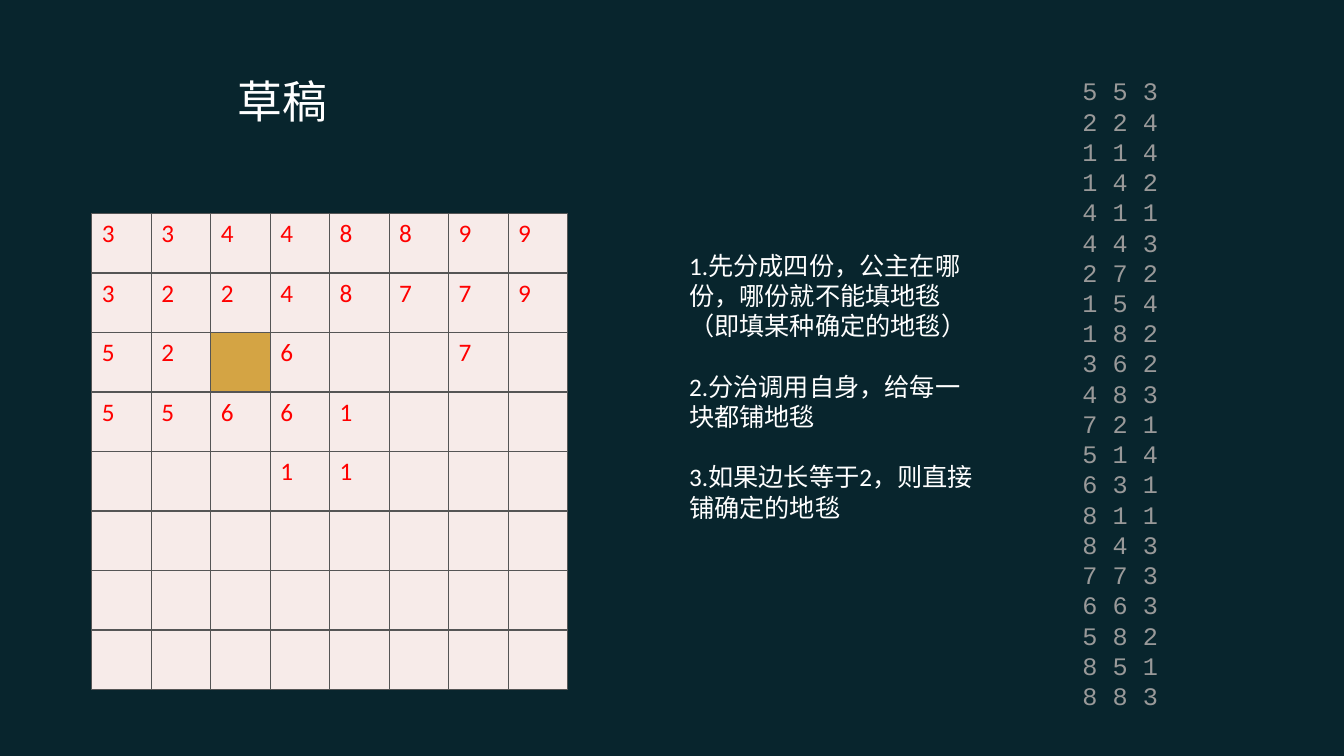
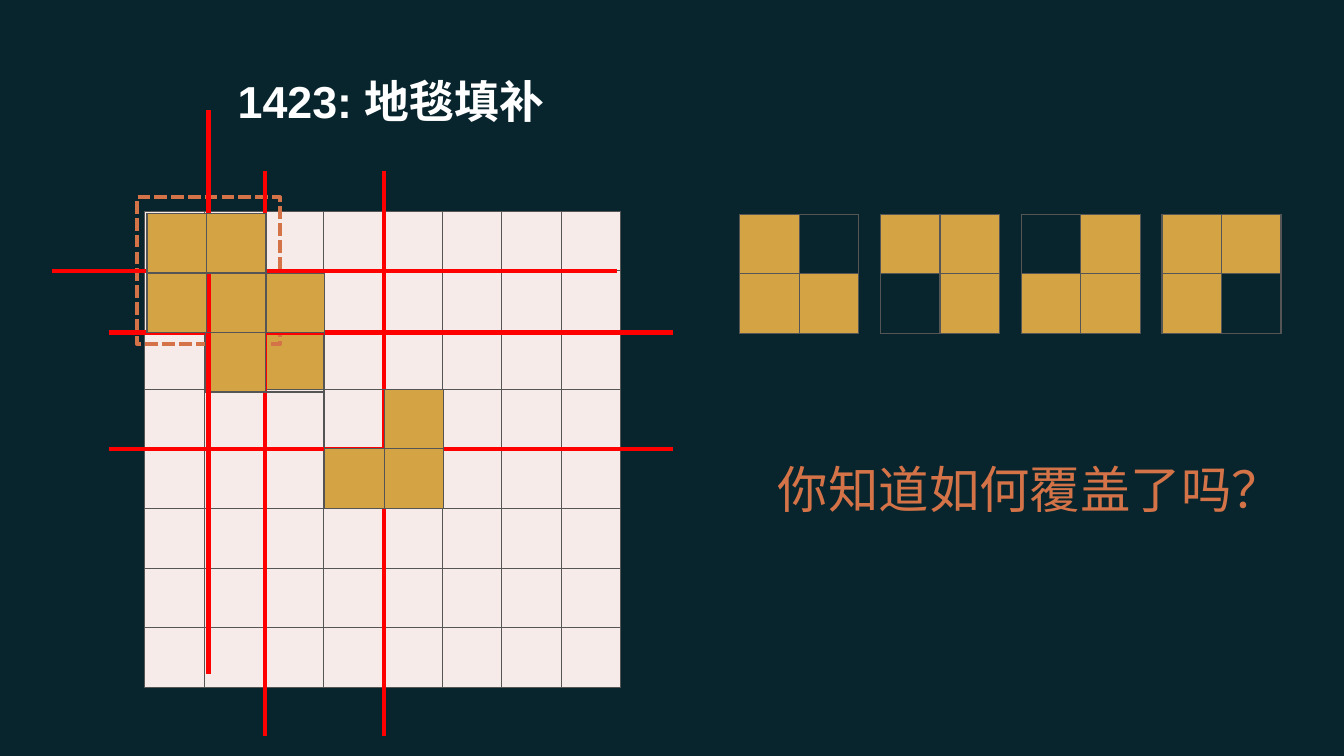
from dataclasses import dataclass

import lxml.etree
import pptx
import pptx.dml.color
import pptx.enum.dml
import pptx.enum.shapes
import pptx.enum.text
import pptx.oxml.ns
import pptx.presentation
import pptx.shapes.base
import pptx.slide
import pptx.text.text
import pptx.util

Pt = pptx.util.Pt
qn = pptx.oxml.ns.qn

NIGHT = "08252D"
WHITE = "FFFFFF"
CREAM = "F7EBE9"
GOLD = "D4A444"
ORANGE = "D47348"
RED = "FF0000"
GREY = "999999"
GRID_GREY = "555555"

CHINESE_FONT = "Noto Sans CJK SC"
TITLE_LAYOUT_WITH_BODY = 1
TITLE_LAYOUT_ONLY = 5

CELL = 42.5
BOARD_SIDE = 8
CUT_LENGTH = 403
LINE_PITCH = 1.2

PRINCESS = "#"
FILLS = {PRINCESS: GOLD, " ": None}

DRAFT_BOARD = [
    "33448899",
    "32248779",
    "52#6..7.",
    "55661...",
    "...11...",
    "........",
    "........",
    "........",
]
PLAIN_BOARD = ["." * BOARD_SIDE] * 2 + ["..#....."] + ["." * BOARD_SIDE] * 5
CARPETS = [["# ", "##"], ["##", " #"], [" #", "##"], ["##", "# "]]

STEPS = [
    "1.先分成四份，公主在哪份，哪份就不能填地毯",
    "（即填某种确定的地毯）",
    "2.分治调用自身，给每一块都铺地毯",
    "3.如果边长等于2，则直接铺确定的地毯",
]
PLACEMENTS = [
    "5 5 3", "2 2 4", "1 1 4", "1 4 2", "4 1 1", "4 4 3", "2 7 2",
    "1 5 4", "1 8 2", "3 6 2", "4 8 3", "7 2 1", "5 1 4", "6 3 1",
    "8 1 1", "8 4 3", "7 7 3", "6 6 3", "5 8 2", "8 5 1", "8 8 3",
]


@dataclass
class TextStyle:
    size: float
    font: str
    color: str
    bold: bool = False


@dataclass
class Division:
    """One step of the recursion: a red cross and the carpet laid at its centre."""
    cross_x: float
    cross_y: float
    start_x: float
    start_y: float
    carpet_left: float
    carpet_top: float
    carpet: list[str]


DIVISIONS = [
    Division(274.5, 320.5, 78, 122.5, 232, 278, CARPETS[2]),
    Division(189.5, 237.5, 78, 122.5, 147, 195, CARPETS[3]),
    Division(149, 193.5, 37.5, 78.5, 105, 152.5, CARPETS[3]),
]

NUMBER_STYLE = TextStyle(18, "Calibri", RED)
STEP_STYLE = TextStyle(18, "Calibri", WHITE)
CODE_STYLE = TextStyle(18, "Courier New", GREY)
QUESTION_STYLE = TextStyle(36, CHINESE_FONT, ORANGE)


def rgb(color: str) -> pptx.dml.color.RGBColor:
    return pptx.dml.color.RGBColor.from_string(color)


def place(shape: pptx.shapes.base.BaseShape, left: float, top: float,
          width: float, height: float) -> None:
    shape.left, shape.top = Pt(left), Pt(top)
    shape.width, shape.height = Pt(width), Pt(height)


def format_runs(para: pptx.text.text._Paragraph, style: TextStyle) -> None:
    for span in para.runs:
        span.font.size = Pt(style.size)
        span.font.bold = style.bold
        span.font.name = style.font
        span.font.color.rgb = rgb(style.color)
        east_asian = lxml.etree.SubElement(span.font._element, qn("a:ea"))
        east_asian.set("typeface", CHINESE_FONT)


def fill_lines(frame: pptx.text.text.TextFrame, lines: list[str],
               style: TextStyle) -> None:
    """Write one unbulleted paragraph per line at an even pitch."""
    frame.text = "\n".join(lines)
    for para in frame.paragraphs:
        properties = para._p.get_or_add_pPr()
        properties.set("marL", "0")
        properties.set("indent", "0")
        lxml.etree.SubElement(properties, qn("a:buNone"))
        para.line_spacing = Pt(style.size * LINE_PITCH)
        para.space_before = Pt(0)
        format_runs(para, style)


def add_titled_slide(deck: pptx.presentation.Presentation, layout: int,
                     title: str, bold: bool) -> pptx.slide.Slide:
    page = deck.slides.add_slide(deck.slide_layouts[layout])
    box = page.shapes.title
    place(box, 162.5, 43, 572.5, 57)
    box.text_frame.text = title
    box.text_frame.vertical_anchor = pptx.enum.text.MSO_ANCHOR.MIDDLE
    para = box.text_frame.paragraphs[0]
    para.alignment = pptx.enum.text.PP_ALIGN.LEFT
    format_runs(para, TextStyle(32, "Arial", WHITE, bold))
    return page


def add_text(page: pptx.slide.Slide, left: float, top: float, width: float,
             height: float, lines: list[str], style: TextStyle) -> None:
    box = page.shapes.add_textbox(Pt(left), Pt(top), Pt(width), Pt(height))
    box.text_frame.word_wrap = False
    fill_lines(box.text_frame, lines, style)


def add_cell_borders(cell: pptx.table._Cell) -> None:
    properties = cell._tc.get_or_add_tcPr()
    for side in ("lnL", "lnR", "lnT", "lnB"):
        border = lxml.etree.SubElement(properties, qn(f"a:{side}"), w=str(Pt(1)))
        fill = lxml.etree.SubElement(border, qn("a:solidFill"))
        lxml.etree.SubElement(fill, qn("a:srgbClr"), val=GRID_GREY)


def add_grid(page: pptx.slide.Slide, left: float, top: float,
             rows: list[str]) -> None:
    """Draw square cells: '#' is gold, a space is open, digits are written."""
    row_count, column_count = len(rows), len(rows[0])
    table = page.shapes.add_table(
        row_count, column_count, Pt(left), Pt(top),
        Pt(column_count * CELL), Pt(row_count * CELL)).table
    table.first_row = False
    table.horz_banding = False
    for column in table.columns:
        column.width = Pt(CELL)
    for row_index, marks in enumerate(rows):
        table.rows[row_index].height = Pt(CELL)
        for column_index, mark in enumerate(marks):
            cell = table.cell(row_index, column_index)
            add_cell_borders(cell)
            color = FILLS.get(mark, CREAM)
            if color:
                cell.fill.solid()
                cell.fill.fore_color.rgb = rgb(color)
            else:
                cell.fill.background()
            if mark.isdigit():
                cell.text_frame.text = mark
                format_runs(cell.text_frame.paragraphs[0], NUMBER_STYLE)


def add_cut(page: pptx.slide.Slide, left: float, top: float,
            width: float, height: float) -> None:
    cut = page.shapes.add_connector(
        pptx.enum.shapes.MSO_CONNECTOR.STRAIGHT, Pt(left), Pt(top),
        Pt(left + width), Pt(top + height))
    cut.line.color.rgb = rgb(RED)
    cut.line.width = Pt(3)
    lxml.etree.SubElement(cut._element.spPr, qn("a:effectLst"))


def add_dashed_frame(page: pptx.slide.Slide, left: float, top: float,
                     width: float, height: float) -> None:
    frame = page.shapes.add_shape(
        pptx.enum.shapes.MSO_SHAPE.RECTANGLE,
        Pt(left), Pt(top), Pt(width), Pt(height))
    frame.shadow.inherit = False
    frame.fill.background()
    frame.line.color.rgb = rgb(ORANGE)
    frame.line.width = Pt(3)
    frame.line.dash_style = pptx.enum.dml.MSO_LINE.SQUARE_DOT


def add_draft_slide(deck: pptx.presentation.Presentation) -> None:
    page = add_titled_slide(deck, TITLE_LAYOUT_WITH_BODY, "草稿", False)
    add_grid(page, 65.5, 152.5, DRAFT_BOARD)
    add_text(page, 766, 50.5, 141, 465, PLACEMENTS, CODE_STYLE)
    body = page.placeholders[1]
    place(body, 485, 175, 225, 247)
    body.text_frame.auto_size = pptx.enum.text.MSO_AUTO_SIZE.NONE
    fill_lines(body.text_frame, STEPS, STEP_STYLE)
    for para in body.text_frame.paragraphs[2:]:
        para.space_before = Pt(STEP_STYLE.size * LINE_PITCH)


def add_carpet_slide(deck: pptx.presentation.Presentation) -> None:
    page = add_titled_slide(deck, TITLE_LAYOUT_ONLY, "1423: 地毯填补", True)
    add_grid(page, 103.5, 151, PLAIN_BOARD)
    for index, carpet in enumerate(CARPETS):
        add_grid(page, 528.5 + index * 100.5, 153, carpet)
    add_dashed_frame(page, 98, 141, 102, 105)
    for division in DIVISIONS:
        add_cut(page, division.start_x, division.cross_y, CUT_LENGTH, 0)
        add_cut(page, division.cross_x, division.start_y, 0, CUT_LENGTH)
        add_grid(page, division.carpet_left, division.carpet_top, division.carpet)
    add_text(page, 548.5, 324, 350, 51, ["你知道如何覆盖了吗？"], QUESTION_STYLE)


def main() -> None:
    deck = pptx.Presentation()
    deck.slide_width, deck.slide_height = Pt(960), Pt(540)
    backdrop = deck.slide_master.background.fill
    backdrop.solid()
    backdrop.fore_color.rgb = rgb(NIGHT)
    add_draft_slide(deck)
    add_carpet_slide(deck)
    deck.save("out.pptx")


if __name__ == "__main__":
    main()
